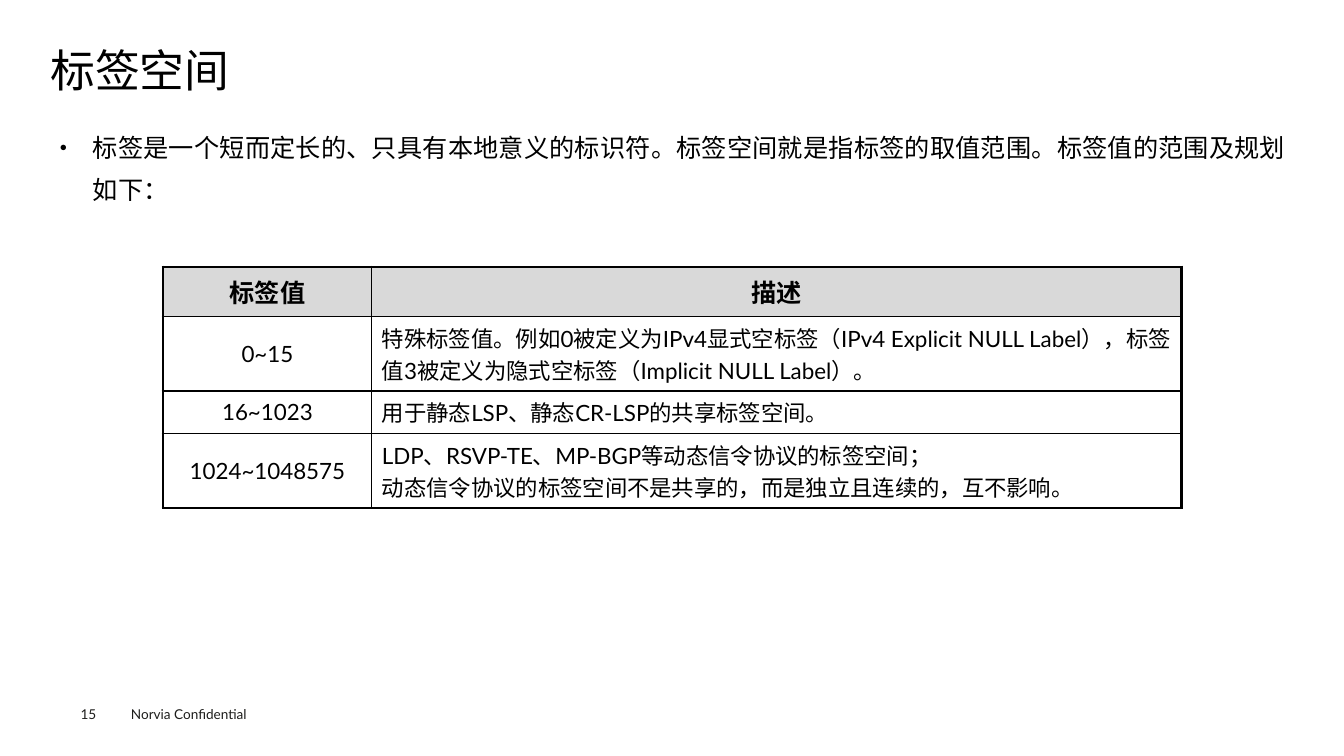
from dataclasses import dataclass

from lxml.etree import SubElement
from pptx import Presentation
from pptx.dml.color import RGBColor
from pptx.enum.text import MSO_ANCHOR as Anchor, MSO_AUTO_SIZE as AutoSize, PP_ALIGN as Align
from pptx.oxml.ns import qn
from pptx.util import Cm, Pt

FONT = "Lato"
COLORS = {"text": "000000", "footer": "1D1D1B", "header": "D9D9D9", "border": "000000"}
OUTER_LINE, INNER_LINE = 2.25, 1
COLUMN_WIDTHS = (5.26, 20.4)


@dataclass(frozen=True)
class FooterNote:
    text: str
    left: float
    top: float
    width: float
    height: float


@dataclass(frozen=True)
class LabelRow:
    label: str
    description: str
    height: float


FOOTER_NOTES = (
    FooterNote("Norvia Confidential", 3.3, 17.78, 4.06, 0.41),
    FooterNote("15", 2.03, 17.78, 1.1, 0.41),
)
LABEL_ROWS = (
    LabelRow("标签值", "描述", 1.24),
    LabelRow("0~15", "特殊标签值。例如0被定义为IPv4显式空标签（IPv4 Explicit NULL Label），"
             "标签值3被定义为隐式空标签（Implicit NULL Label）。", 1.88),
    LabelRow("16~1023", "用于静态LSP、静态CR-LSP的共享标签空间。", 1.07),
    LabelRow("1024~1048575", "LDP、RSVP-TE、MP-BGP等动态信令协议的标签空间；\n"
             "动态信令协议的标签空间不是共享的，而是独立且连续的，互不影响。", 1.88),
)


def format_runs(frame, size: float, color: str = "text", bold: bool = False) -> None:
    for para in frame.paragraphs:
        for span in para.runs:
            span.font.name = FONT
            span.font.size = Pt(size)
            span.font.bold = bold
            span.font.color.rgb = RGBColor.from_string(COLORS[color])


def place(box, left: float, top: float, width: float, height: float) -> None:
    box.left, box.top, box.width, box.height = map(Cm, (left, top, width, height))


def set_margins(frame, side: float, edge: float) -> None:
    frame.margin_left = frame.margin_right = Cm(side)
    frame.margin_top = frame.margin_bottom = Cm(edge)


def fill_placeholder(box, text: str, size: float, align, spacing: float):
    frame = box.text_frame
    frame.text = text
    frame.word_wrap = True
    frame.auto_size = AutoSize.NONE
    frame.vertical_anchor = Anchor.TOP
    para = frame.paragraphs[0]
    para.alignment = align
    para.line_spacing = spacing
    para.space_before = Pt(0)
    format_runs(frame, size)
    return para


def add_bullet(para, indent: float) -> None:
    properties = para._p.get_or_add_pPr()
    properties.set("marL", str(Cm(indent)))
    properties.set("indent", str(-Cm(indent)))
    SubElement(properties, qn("a:buSzPct"), val="50000")
    SubElement(properties, qn("a:buChar"), char="●")


def add_footer_note(page, note: FooterNote) -> None:
    box = page.shapes.add_textbox(0, 0, 0, 0)
    place(box, note.left, note.top, note.width, note.height)
    frame = box.text_frame
    frame.word_wrap = True
    set_margins(frame, 0, 0)
    frame.text = note.text
    format_runs(frame, 9.7, "footer")


def draw_borders(cell, outer_sides: dict[str, bool]) -> None:
    properties = cell._tc.get_or_add_tcPr()
    for side, is_outer in outer_sides.items():
        width = Pt(OUTER_LINE if is_outer else INNER_LINE)
        line = SubElement(properties, qn(f"a:ln{side}"), w=str(width))
        SubElement(SubElement(line, qn("a:solidFill")), qn("a:srgbClr"), val=COLORS["border"])


def add_label_table(page, left: float, top: float) -> None:
    last_row, last_column = len(LABEL_ROWS) - 1, len(COLUMN_WIDTHS) - 1
    height = sum(row.height for row in LABEL_ROWS)
    table = page.shapes.add_table(len(LABEL_ROWS), len(COLUMN_WIDTHS), Cm(left), Cm(top),
                                  Cm(sum(COLUMN_WIDTHS)), Cm(height)).table
    table.first_row = table.horz_banding = False
    for column, width in zip(table.columns, COLUMN_WIDTHS):
        column.width = Cm(width)

    for r, row in enumerate(LABEL_ROWS):
        table.rows[r].height = Cm(row.height)
        is_header = r == 0
        for c, text in enumerate((row.label, row.description)):
            cell = table.cell(r, c)
            cell.text_frame.text = text
            is_centered = is_header or c == 0
            cell.vertical_anchor = Anchor.MIDDLE if is_centered else Anchor.TOP
            for para in cell.text_frame.paragraphs:
                para.alignment = Align.CENTER if is_centered else Align.LEFT
            format_runs(cell.text_frame, 18 if is_header else 16, bold=is_header)
            draw_borders(cell, {"L": c == 0, "R": c == last_column,
                                "T": is_header, "B": r == last_row})
            if is_header:
                cell.fill.solid()
                cell.fill.fore_color.rgb = RGBColor.from_string(COLORS["header"])
            else:
                cell.fill.background()


def main() -> None:
    deck = Presentation()
    deck.slide_width, deck.slide_height = Cm(33.87), Cm(19.05)
    page = deck.slides.add_slide(deck.slide_layouts[1])

    # Title
    title = page.shapes.title
    place(title, 1.27, 1.24, 31.37, 1.35)
    set_margins(title.text_frame, 0, 0)
    fill_placeholder(title, "标签空间", 32, Align.LEFT, 0.9)

    # Introduction
    body = page.placeholders[1]
    place(body, 1.27, 2.92, 31.37, 13.56)
    set_margins(body.text_frame, 0.23, 0.1)
    intro = fill_placeholder(
        body, "标签是一个短而定长的、只具有本地意义的标识符。标签空间就是指标签的取值范围。"
        "标签值的范围及规划如下：", 18, Align.JUSTIFY, 1.4)
    add_bullet(intro, 0.84)

    # Label ranges
    add_label_table(page, 4.11, 6.73)

    # Footer
    for note in FOOTER_NOTES:
        add_footer_note(page, note)

    deck.save("out.pptx")


if __name__ == "__main__":
    main()
